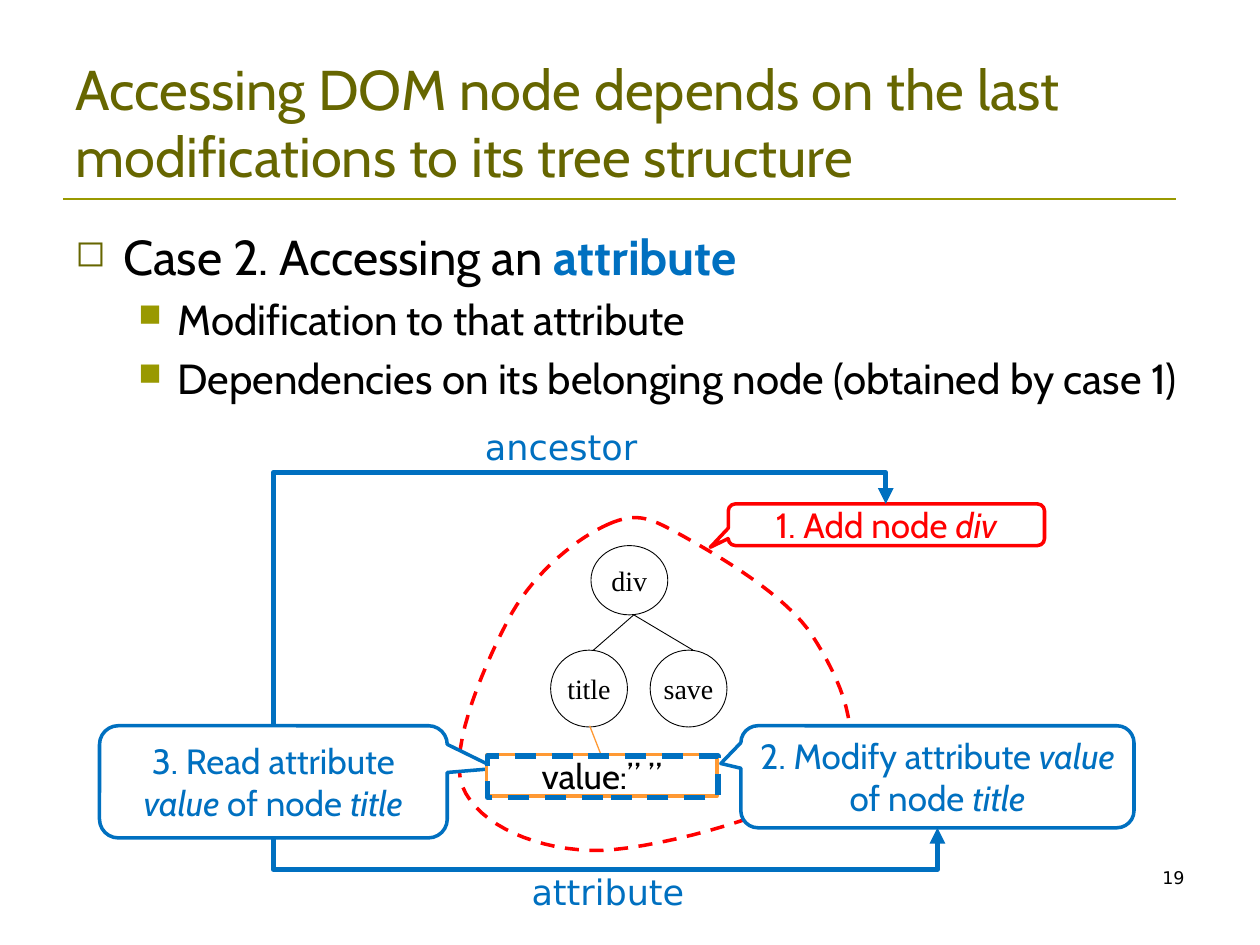
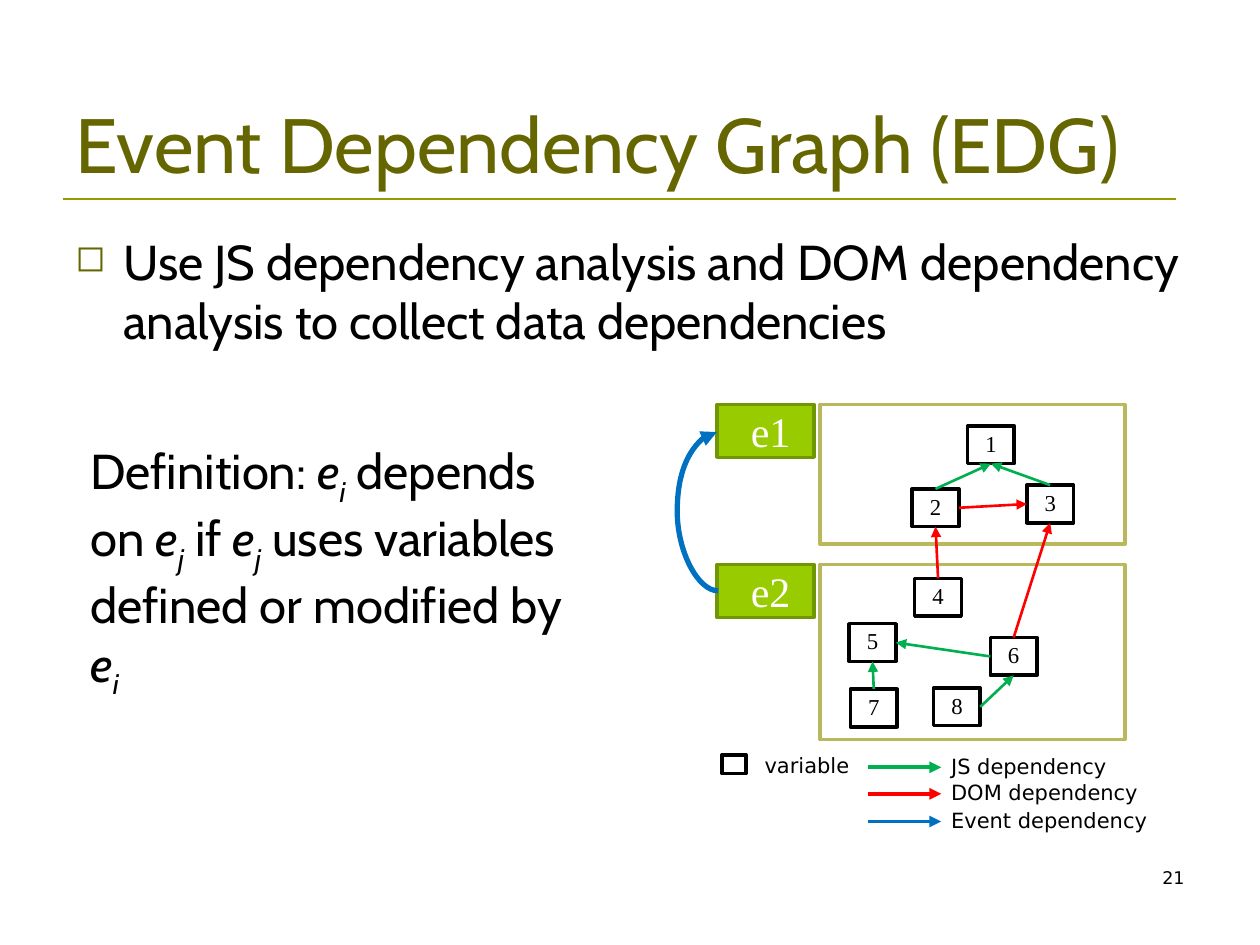
"""Builds two slides on DOM access and event dependency graphs."""
from lxml.etree import SubElement
from pptx import Presentation
from pptx.dml.color import RGBColor
from pptx.enum.dml import MSO_LINE
from pptx.enum.shapes import MSO_CONNECTOR, MSO_SHAPE
from pptx.enum.text import MSO_ANCHOR, PP_ALIGN
from pptx.oxml.ns import qn
from pptx.util import Inches, Pt

BLACK = RGBColor(0x00, 0x00, 0x00)
WHITE = RGBColor(0xFF, 0xFF, 0xFF)
OLIVE = RGBColor(0x66, 0x66, 0x00)
LIGHT_OLIVE = RGBColor(0x99, 0x99, 0x00)
FRAME_OLIVE = RGBColor(0xB9, 0xB9, 0x5C)
LIME = RGBColor(0x99, 0xCC, 0x00)
DARK_LIME = RGBColor(0x71, 0x97, 0x00)
BLUE = RGBColor(0x00, 0x70, 0xC0)
RED = RGBColor(0xFF, 0x00, 0x00)
GREEN = RGBColor(0x00, 0xB0, 0x50)
ORANGE = RGBColor(0xFF, 0x99, 0x33)

CABIN, DEJAVU, TIMES = "Cabin", "DejaVu Sans", "Times New Roman"
ITALIC = {"italic": True}
SUBSCRIPT = {"italic": True, "baseline": -25000}
CENTERED = {"alignment": PP_ALIGN.CENTER}
BULLETS = [
    {"character": "◻", "color": OLIVE, "margin": 0.38, "indent": -0.38},
    {"character": "■", "color": LIGHT_OLIVE, "margin": 0.81, "indent": -0.31},
]
NODE_SIZE = (0.37, 0.3)
SIDES = {"top": (0.5, 0), "bottom": (0.5, 1), "left": (0, 0.5), "right": (1, 0.5)}


def set_attributes(target, values):
    """Set each named value on the target."""
    for name, value in values.items():
        setattr(target, name, value)


def write_runs(paragraph, content, font, size, color):
    """Write a string or (text, formats) runs into a paragraph."""
    runs = [(content, {})] if isinstance(content, str) else content
    for text, formats in runs:
        values = {"name": font, "size": Pt(size), **formats}
        run_color = values.pop("color", color)
        baseline = values.pop("baseline", None)
        run = paragraph.add_run()
        run.text = text
        set_attributes(run.font, values)
        run.font.color.rgb = run_color
        if baseline:
            run.font._element.set("baseline", str(baseline))


def add_text(slide, box, content, font, size, color=BLACK, frame=None, paragraph=None):
    """Add a wrapped text box with one paragraph."""
    text_frame = slide.shapes.add_textbox(*map(Inches, box)).text_frame
    set_attributes(text_frame, {"word_wrap": True, **(frame or {})})
    first = text_frame.paragraphs[0]
    set_attributes(first, paragraph or {})
    write_runs(first, content, font, size, color)


def add_bullets(slide, box, items):
    """Add a bulleted list from (level, content) items."""
    text_frame = slide.shapes.add_textbox(*map(Inches, box)).text_frame
    text_frame.word_wrap = True
    for index, (level, content) in enumerate(items):
        paragraph = text_frame.add_paragraph() if index else text_frame.paragraphs[0]
        bullet, size = BULLETS[level], 28 - 4 * level
        set_attributes(paragraph, {"level": level, "space_before": Pt(0.2 * size)})
        properties = paragraph._p.get_or_add_pPr()
        properties.set("marL", str(Inches(bullet["margin"])))
        properties.set("indent", str(Inches(bullet["indent"])))
        bullet_color = SubElement(properties, qn("a:buClr"))
        SubElement(bullet_color, qn("a:srgbClr"), val=str(bullet["color"]))
        SubElement(properties, qn("a:buSzPct"), val="75000")
        SubElement(properties, qn("a:buChar"), char=bullet["character"])
        write_runs(paragraph, content, CABIN, size, BLACK)


def style_shape(shape, fill, line, width, dash=None):
    """Set fill and outline and remove the shadow."""
    shape.shadow.inherit = False
    if fill is None:
        shape.fill.background()
    else:
        shape.fill.solid()
        shape.fill.fore_color.rgb = fill
    shape.line.color.rgb = line
    set_attributes(shape.line, {"width": Pt(width), "dash_style": dash})


def add_box(slide, kind, box, fill, line, width, dash=None):
    """Add a styled preset shape."""
    shape = slide.shapes.add_shape(kind, *map(Inches, box))
    style_shape(shape, fill, line, width, dash)
    return shape


def label(shape, content, font, size, color=BLACK, frame=None, paragraph=None):
    """Write centred text inside a shape."""
    text_frame = shape.text_frame
    set_attributes(text_frame, {"vertical_anchor": MSO_ANCHOR.MIDDLE, "word_wrap": True, **(frame or {})})
    first = text_frame.paragraphs[0]
    set_attributes(first, {**CENTERED, **(paragraph or {})})
    write_runs(first, content, font, size, color)


def add_callout(slide, box, pointer, color, content):
    """Add a rounded callout whose tip is given relative to its size."""
    shape = add_box(slide, MSO_SHAPE.ROUNDED_RECTANGULAR_CALLOUT, box, WHITE, color, 2)
    for index, value in enumerate((*pointer, 0.167)):
        shape.adjustments[index] = value
    label(shape, content, CABIN, 20, color)


def add_line(slide, begin, end, color, width, arrow=False, kind=MSO_CONNECTOR.STRAIGHT):
    """Add a connector with an optional arrowhead."""
    connector = slide.shapes.add_connector(kind, *map(Inches, (*begin, *end)))
    connector.line.color.rgb = color
    connector.line.width = Pt(width)
    if arrow:
        SubElement(connector.line._get_or_add_ln(), qn("a:tailEnd"), type="triangle")
    SubElement(connector.element.spPr, qn("a:effectLst"))
    return connector


def set_bend(connector, begin, end, bend):
    """Place the middle segment of a bent or curved connector."""
    guides = connector.element.spPr.find(qn("a:prstGeom")).get_or_add_avLst()
    ratio = round(100000 * (bend - begin) / (end - begin))
    SubElement(guides, qn("a:gd"), name="adj1", fmla=f"val {ratio}")


def add_vertical_elbow(slide, begin, end, bend):
    """Add a blue elbow that leaves and arrives vertically, running up and right."""
    center_x, center_y = (begin[0] + end[0]) / 2, (begin[1] + end[1]) / 2
    half_width, half_height = (begin[1] - end[1]) / 2, (end[0] - begin[0]) / 2
    connector = add_line(
        slide,
        (center_x + half_width, center_y + half_height),
        (center_x - half_width, center_y - half_height),
        BLUE, 3, True, MSO_CONNECTOR.ELBOW,
    )
    connector.element.spPr.find(qn("a:xfrm")).set("rot", "5400000")
    set_bend(connector, begin[1], end[1], bend)


def add_curved_outline(slide, start, curves, color):
    """Add a closed dashed outline that follows cubic curves."""
    points, steps = [], 16
    current = start
    for first, second, end in curves:
        for step in range(1, steps + 1):
            t = step / steps
            weights = ((1 - t) ** 3, 3 * t * (1 - t) ** 2, 3 * t * t * (1 - t), t ** 3)
            corners = (current, first, second, end)
            points.append(tuple(
                Inches(sum(weight * corner[axis] for weight, corner in zip(weights, corners)))
                for axis in (0, 1)
            ))
        current = end
    builder = slide.shapes.build_freeform(*map(Inches, start), scale=1.0)
    builder.add_line_segments(points, close=True)
    style_shape(builder.convert_to_shape(), None, color, 2, MSO_LINE.DASH)


def add_base_slide(presentation, title, title_size, number):
    """Add a slide with title, rule and slide number."""
    slide = presentation.slides.add_slide(presentation.slide_layouts[6])
    add_line(slide, (0.5, 1.58), (9.33, 1.58), LIGHT_OLIVE, 1.5)
    add_text(slide, (0.5, 0.3, 9, 1.25), title, CABIN, title_size, OLIVE,
             {"vertical_anchor": MSO_ANCHOR.BOTTOM})
    add_text(slide, (7.17, 6.83, 2.33, 0.5), number, DEJAVU, 10,
             paragraph={"alignment": PP_ALIGN.RIGHT})
    return slide


def build_attribute_slide(presentation):
    """Build the slide on accessing an attribute."""
    slide = add_base_slide(
        presentation,
        "Accessing DOM node depends on the last modifications to its tree structure", 32, "19")
    add_bullets(slide, (0.5, 1.75, 9, 4.95), [
        (0, [("Case 2. Accessing an ", {}), ("attribute", {"color": BLUE, "bold": True})]),
        (1, "Modification to that attribute"),
        (1, "Dependencies on its belonging node (obtained by case 1)"),
    ])
    for name, box in (("div", (4.69, 4.33, 0.61, 0.55)),
                      ("title", (4.37, 5.16, 0.61, 0.61)),
                      ("save", (5.16, 5.16, 0.61, 0.61))):
        tree_node = add_box(slide, MSO_SHAPE.OVAL, box, WHITE, BLACK, 0.5)
        label(tree_node, name, TIMES, 16, frame={"word_wrap": False})
    for child in ((4.71, 5.16), (5.5, 5.16)):
        add_line(slide, (5.03, 4.88), child, BLACK, 0.5)
    add_curved_outline(slide, (4.83, 4.16), [
        ((5.06, 4.06), (5.16, 4.11), (5.43, 4.26)),
        ((5.7, 4.41), (6.25, 4.73), (6.45, 5.05)),
        ((6.65, 5.36), (6.9, 5.87), (6.62, 6.15)),
        ((6.35, 6.43), (5.27, 6.73), (4.77, 6.75)),
        ((4.28, 6.76), (3.79, 6.55), (3.67, 6.24)),
        ((3.55, 5.93), (3.87, 5.22), (4.06, 4.87)),
        ((4.26, 4.52), (4.6, 4.26), (4.83, 4.16)),
    ], RED)
    add_callout(slide, (5.78, 4, 2.51, 0.33), (-0.557, 0.542), RED,
                [("1. Add node ", {}), ("div", ITALIC)])
    add_callout(slide, (5.88, 5.76, 3.12, 0.81), (-0.551, -0.13), BLUE,
                [("2. Modify attribute ", {}), ("value ", ITALIC),
                 ("of node ", {}), ("title", ITALIC)])
    add_callout(slide, (0.79, 5.76, 2.76, 0.89), (0.641, -0.12), BLUE,
                [("3. Read attribute ", {}), ("value", ITALIC),
                 (" of node ", {}), ("title", ITALIC)])
    add_vertical_elbow(slide, (2.17, 5.76), (7.03, 4), 3.75)
    add_vertical_elbow(slide, (2.17, 6.65), (7.44, 6.57), 6.9)
    add_line(slide, (4.68, 5.76), (4.77, 5.99), ORANGE, 0.75)
    value_box = add_box(slide, MSO_SHAPE.RECTANGLE, (3.86, 5.99, 1.83, 0.33), WHITE, ORANGE, 2)
    label(value_box, "value:” ”", CABIN, 20)
    add_box(slide, MSO_SHAPE.RECTANGLE, (3.87, 6, 1.83, 0.33), None, BLUE, 3, MSO_LINE.DASH)
    add_text(slide, (3.75, 3.33, 2.08, 0.44), "ancestor", DEJAVU, 20, BLUE)
    add_text(slide, (4.12, 6.86, 2.08, 0.44), "attribute", DEJAVU, 20, BLUE)


def build_graph_slide(presentation):
    """Build the slide on the event dependency graph."""
    slide = add_base_slide(presentation, "Event Dependency Graph (EDG)", 44, "21")
    add_bullets(slide, (0.5, 1.79, 9.25, 0.77), [
        (0, "Use JS dependency analysis and DOM dependency analysis to collect data dependencies"),
    ])
    no_margins = {f"margin_{side}": 0 for side in SIDES}
    for event, top, height in ((" e1", 3.21, 1.11), (" e2", 4.48, 1.39)):
        add_box(slide, MSO_SHAPE.RECTANGLE, (6.51, top, 2.42, height), WHITE, FRAME_OLIVE, 2)
        event_box = add_box(slide, MSO_SHAPE.RECTANGLE, (5.69, top, 0.77, 0.42), LIME, DARK_LIME, 2)
        label(event_box, event, TIMES, 24, WHITE, no_margins)

    variables = {"1": (7.68, 3.38), "2": (7.24, 3.88), "3": (8.15, 3.85), "4": (7.26, 4.59),
                 "5": (6.74, 4.95), "6": (7.86, 5.06), "7": (6.75, 5.47), "8": (7.41, 5.46)}
    for name, corner in variables.items():
        variable_box = add_box(slide, MSO_SHAPE.RECTANGLE, (*corner, *NODE_SIZE), None, BLACK, 2)
        label(variable_box, name, TIMES, 13, frame={"word_wrap": False},
              paragraph={"line_spacing": 0.9})

    def side_point(name, side):
        """Return the middle of one side of a variable box."""
        return tuple(corner + size * share for corner, size, share
                     in zip(variables[name], NODE_SIZE, SIDES[side]))

    for source, source_side, target, target_side, color in (
            ("2", "top", "1", "bottom", GREEN), ("3", "top", "1", "bottom", GREEN),
            ("8", "right", "6", "bottom", GREEN), ("7", "top", "5", "bottom", GREEN),
            ("6", "left", "5", "right", GREEN), ("6", "top", "3", "bottom", RED),
            ("4", "top", "2", "bottom", RED), ("2", "right", "3", "left", RED)):
        add_line(slide, side_point(source, source_side), side_point(target, target_side),
                 color, 1.5, True)

    begin, end = (5.7, 4.69), (5.69, 3.43)
    event_arrow = add_line(slide, begin, end, BLUE, 3, True, MSO_CONNECTOR.CURVE)
    set_bend(event_arrow, begin[0], end[0], 5.37)

    add_box(slide, MSO_SHAPE.RECTANGLE, (5.73, 5.99, 0.19, 0.15), None, BLACK, 2)
    add_text(slide, (5.97, 5.92, 0.96, 0.3), "variable", DEJAVU, 12)
    for kind, y, color in (("JS", 6.09, GREEN), ("DOM", 6.3, RED), ("Event", 6.52, BLUE)):
        add_line(slide, (6.89, y), (7.47, y), color, 2.25, True)
        add_text(slide, (7.45, y - 0.16, 2.05, 0.3), f"{kind} dependency", DEJAVU, 12)

    add_text(slide, (0.62, 3.45, 4.2, 1.79), [
        ("Definition: ", {}), ("e", ITALIC), ("i", SUBSCRIPT), (" depends on ", {}),
        ("e", ITALIC), ("j", SUBSCRIPT), (" if ", {}), ("e", ITALIC), ("j", SUBSCRIPT),
        (" uses variables defined or modified by ", {}), ("e", ITALIC), ("i", SUBSCRIPT),
    ], CABIN, 28, paragraph={"space_before": Pt(5.6)})


def main():
    """Build and save the presentation."""
    presentation = Presentation()
    set_attributes(presentation, {"slide_width": Inches(10), "slide_height": Inches(7.5)})
    build_attribute_slide(presentation)
    build_graph_slide(presentation)
    presentation.save("out.pptx")


if __name__ == "__main__":
    main()
